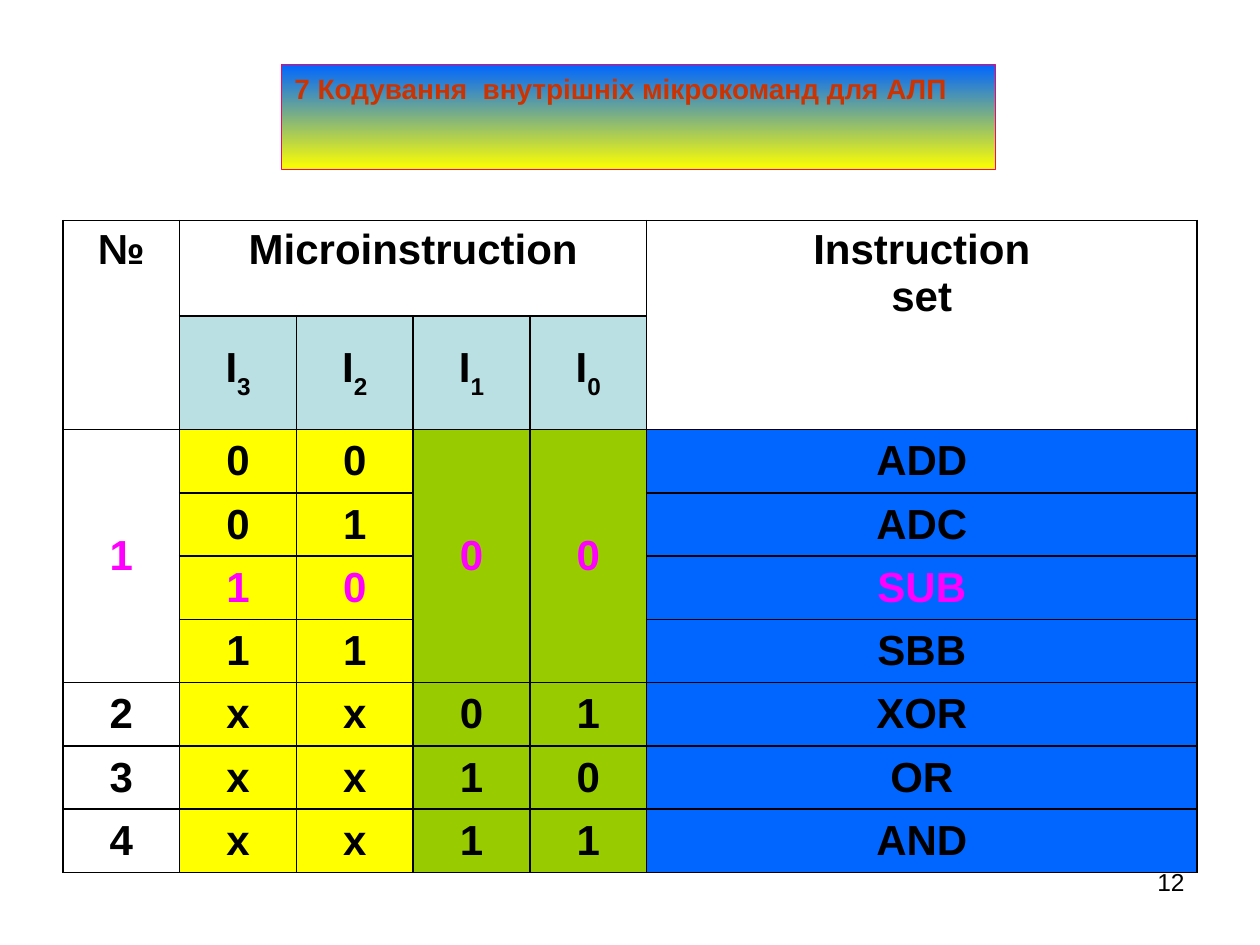
from lxml.etree import SubElement
from pptx import Presentation
from pptx.dml.color import RGBColor
from pptx.enum.text import MSO_ANCHOR as Anchor, MSO_AUTO_SIZE as AutoSize, PP_ALIGN as Align
from pptx.oxml.ns import qn
from pptx.util import Pt

BLACK = RGBColor(0x00, 0x00, 0x00)
MAGENTA = RGBColor(0xFF, 0x00, 0xFF)
BLUE = RGBColor(0x00, 0x66, 0xFF)
YELLOW = RGBColor(0xFF, 0xFF, 0x00)
GREEN = RGBColor(0x99, 0xCC, 0x00)
PALE_BLUE = RGBColor(0xBB, 0xE0, 0xE3)
PINK = RGBColor(0xFF, 0x00, 0x66)
BRICK = RGBColor(0xCC, 0x33, 0x00)


def style_font(para, size, color, bold):
    font = para.font
    font.name, font.size, font.bold = "Arial", Pt(size), bold
    font.color.rgb = color


def add_borders(cell):
    properties = cell._tc.get_or_add_tcPr()
    for side in ("lnL", "lnR", "lnT", "lnB"):
        line = SubElement(properties, qn(f"a:{side}"), w=str(Pt(0.96)))
        fill = SubElement(line, qn("a:solidFill"))
        SubElement(fill, qn("a:srgbClr"), val=str(BLACK))


deck = Presentation()
deck.slide_width, deck.slide_height = Pt(720), Pt(540)
page = deck.slides.add_slide(deck.slide_layouts[5])

# Title bar
title = page.shapes.title
title.left, title.top, title.width, title.height = Pt(161), Pt(37), Pt(408), Pt(26.5)
title.fill.gradient()
title.fill.gradient_angle = 270
for stop, color in zip(title.fill.gradient_stops, (BLUE, YELLOW)):
    stop.color.rgb = color
title.line.color.rgb = PINK
title.line.width = Pt(0.75)
frame = title.text_frame
frame.text = "7 Кодування  внутрішніх мікрокоманд для АЛП"
frame.auto_size = AutoSize.SHAPE_TO_FIT_TEXT
frame.vertical_anchor = Anchor.TOP
frame.paragraphs[0].alignment = Align.LEFT
style_font(frame.paragraphs[0], 16, BRICK, True)

# Microinstruction table; empty strings are covered by merged cells
ROWS = [
    ["№", "Microinstruction", "", "", "", "Instruction\nset"],
    ["", "І3", "І2", "І1", "І0", ""],
    ["1", "0", "0", "0", "0", "ADD"],
    ["", "0", "1", "", "", "ADC"],
    ["", "1", "0", "", "", "SUB"],
    ["", "1", "1", "", "", "SBB"],
    ["2", "x", "x", "0", "1", "XOR"],
    ["3", "x", "x", "1", "0", "OR"],
    ["4", "x", "x", "1", "1", "AND"],
]
MERGES = [((0, 0), (1, 0)), ((0, 1), (0, 4)), ((0, 5), (1, 5)),
          ((2, 0), (5, 0)), ((2, 3), (5, 3)), ((2, 4), (5, 4))]
HIGHLIGHTS = {(2, 0), (2, 3), (2, 4), (4, 1), (4, 2), (4, 5)}
COLUMN_FILLS = [None, YELLOW, YELLOW, GREEN, GREEN, BLUE]
HEADER_FILLS = [None] * 6
BIT_FILLS = [None] + [PALE_BLUE] * 4 + [None]
WIDTHS = [66.7] * 5 + [314.5]
HEIGHTS = [54.5, 65.1] + [36.15] * 7

table = page.shapes.add_table(len(ROWS), len(WIDTHS), Pt(36), Pt(126),
                              Pt(sum(WIDTHS)), Pt(sum(HEIGHTS))).table
table.first_row = table.horz_banding = False
for column, width in zip(table.columns, WIDTHS):
    column.width = Pt(width)
for row, height in zip(table.rows, HEIGHTS):
    row.height = Pt(height)
for first, last in MERGES:
    table.cell(*first).merge(table.cell(*last))

for r, texts in enumerate(ROWS):
    fills = HEADER_FILLS if r == 0 else BIT_FILLS if r == 1 else COLUMN_FILLS
    for c, (text, color) in enumerate(zip(texts, fills)):
        cell = table.cell(r, c)
        add_borders(cell)
        if color is None:
            cell.fill.background()
        else:
            cell.fill.solid()
            cell.fill.fore_color.rgb = color
        cell.vertical_anchor = Anchor.TOP if r == 0 else Anchor.MIDDLE
        if r == 1 and text:
            para = cell.text_frame.paragraphs[0]
            para.add_run().text = text[0]
            subscript = para.add_run()
            subscript.text = text[1]
            subscript._r.get_or_add_rPr().set("baseline", "-30000")
        else:
            cell.text = text
        for para in cell.text_frame.paragraphs:
            para.alignment = Align.CENTER
            style_font(para, 24, MAGENTA if (r, c) in HIGHLIGHTS else BLACK, True)

# Page number
number = page.shapes.add_textbox(Pt(516), Pt(492), Pt(168), Pt(37.5)).text_frame
number.word_wrap = True
number.text = "12"
number.paragraphs[0].alignment = Align.RIGHT
style_font(number.paragraphs[0], 14, BLACK, False)

deck.save("out.pptx")
